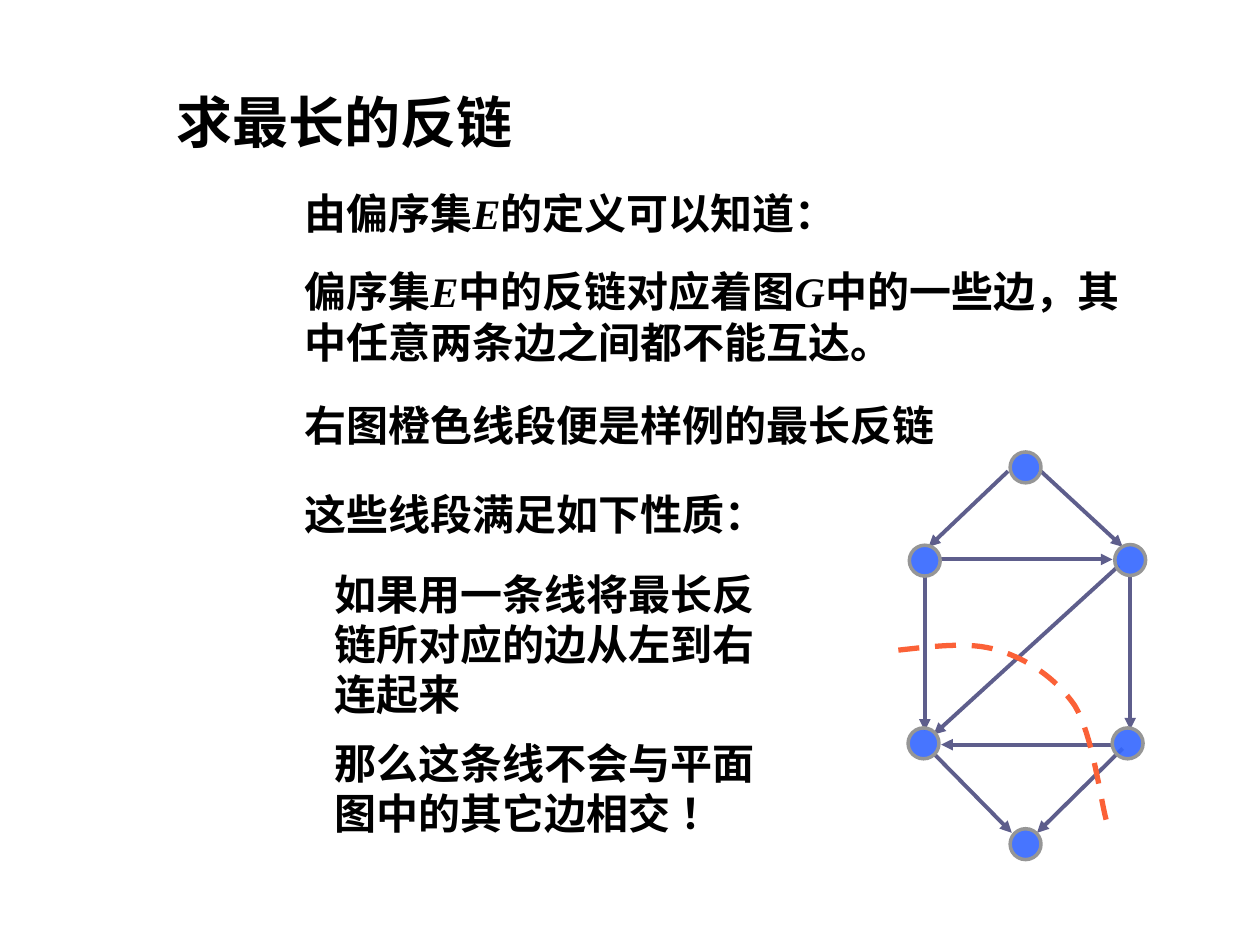
from lxml import etree
from pptx import Presentation
from pptx.dml.color import RGBColor
from pptx.enum import dml, shapes, text
from pptx.oxml.ns import qn
from pptx.util import Inches, Pt

COLORS = {"text": "000000", "node": "3366FF", "ring": "969696",
          "edge": "5E5E8C", "cut": "FB6137"}

prs = Presentation()
prs.slide_width, prs.slide_height = Inches(10), Inches(7.5)
s = prs.slides.add_slide(prs.slide_layouts[6])
CELL = prs.slide_width / 100  # grid of 100 columns by 75 rows


def grid(*cells):
    return [round(c * CELL) for c in cells]


def set_line(line, color, width):
    line.color.rgb = RGBColor.from_string(COLORS[color])
    line.width = Pt(width)


# Title and text: (left, top, width, height), size, anchor, runs
# Odd runs are the italic names of sets and graphs
TOP, MIDDLE = text.MSO_ANCHOR.TOP, text.MSO_ANCHOR.MIDDLE
boxes = [
    ((13, 5.2, 47.1, 8.8), 32, MIDDLE, ["求最长的反链"]),
    ((23.2, 14.4, 69.3, 5), 24, TOP, ["由偏序集", "E", "的定义可以知道："]),
    ((23.2, 20.6, 66.9, 9), 24, TOP,
     ["偏序集", "E", "中的反链对应着图", "G",
      "中的一些边，其中任意两条边之间都不能互达。"]),
    ((23.2, 31.2, 53.5, 5), 24, TOP, ["右图橙色线段便是样例的最长反链"]),
    ((23.2, 38.3, 39.4, 5), 24, TOP, ["这些线段满足如下性质："]),
    ((25.6, 44.6, 38.6, 13), 24, TOP,
     ["如果用一条线将最长反链所对应的边从左到右连起来"]),
    ((25.6, 58, 37, 9), 24, MIDDLE,
     ["那么这条线不会与平面图中的其它边相交 ！"]),
]
for place, size, anchor, runs in boxes:
    tf = s.shapes.add_textbox(*grid(*place)).text_frame
    tf.word_wrap = True
    tf.vertical_anchor = anchor
    p = tf.paragraphs[0]
    for i, words in enumerate(runs):
        r = p.add_run()
        r.text = words
        fmt = {"name": "Times New Roman", "size": Pt(size),
               "bold": True, "italic": i % 2 == 1}
        for key, value in fmt.items():
            setattr(r.font, key, value)
        r.font.color.rgb = RGBColor.from_string(COLORS["text"])

# Directed edges of the graph: from x, y to x, y
edges = [
    (80, 37.4, 73.7, 43.4), (82.5, 37.3, 89.1, 43.4),
    (74.7, 44.4, 88.3, 44.4),
    (73.4, 45.6, 73.4, 58), (89.7, 45.8, 89.7, 57.9),
    (88.8, 44.9, 74.1, 58.3), (88.3, 59.1, 74.7, 59.1),
    (74.1, 59.8, 80.3, 66.1), (89.1, 59.4, 82.3, 66.1),
]
for ends in edges:
    sp = s.shapes.add_connector(shapes.MSO_CONNECTOR.STRAIGHT, *grid(*ends))
    set_line(sp.line, "edge", 2.25)
    etree.SubElement(sp.line._get_or_add_ln(), qn("a:tailEnd"), type="triangle")
    etree.SubElement(sp._element.spPr, qn("a:effectLst"))

# Nodes, placed by centre
SIZE = 2.45
nodes = [(81.4, 37.1), (73.4, 44.5), (89.7, 44.45),
         (73.3, 59), (89.5, 59), (81.4, 67)]
for x, y in nodes:
    sp = s.shapes.add_shape(shapes.MSO_SHAPE.OVAL,
                            *grid(x - SIZE / 2, y - SIZE / 2, SIZE, SIZE))
    sp.shadow.inherit = False
    sp.fill.solid()
    sp.fill.fore_color.rgb = RGBColor.from_string(COLORS["node"])
    color = sp._element.spPr.find(qn("a:solidFill"))[0]
    etree.SubElement(color, qn("a:alpha"), val="90000")
    set_line(sp.line, "ring", 2)

# Dashed cut across the antichain: three Bezier pieces, sampled
curve = [(71.3, 51.6), (74.1, 51.3), (76.9, 50.9), (79.2, 51.6), (81.5, 52.3),
         (83.8, 53.8), (85.3, 56), (86.7, 58.3), (87.3, 63.2), (87.8, 65.1)]
STEPS = 16
points = []
for start in range(0, 9, 3):
    piece = curve[start:start + 4]
    for n in range(1, STEPS + 1):
        t = n / STEPS
        weights = ((1 - t) ** 3, 3 * t * (1 - t) ** 2, 3 * t * t * (1 - t), t ** 3)
        points.append(grid(*(sum(w * pt[axis] for w, pt in zip(weights, piece))
                             for axis in (0, 1))))
path = s.shapes.build_freeform(*grid(*curve[0]))
path.add_line_segments(points, close=False)
sp = path.convert_to_shape()
sp.shadow.inherit = False
sp.fill.background()
set_line(sp.line, "cut", 3)
sp.line.dash_style = dml.MSO_LINE.DASH

prs.save("out.pptx")
